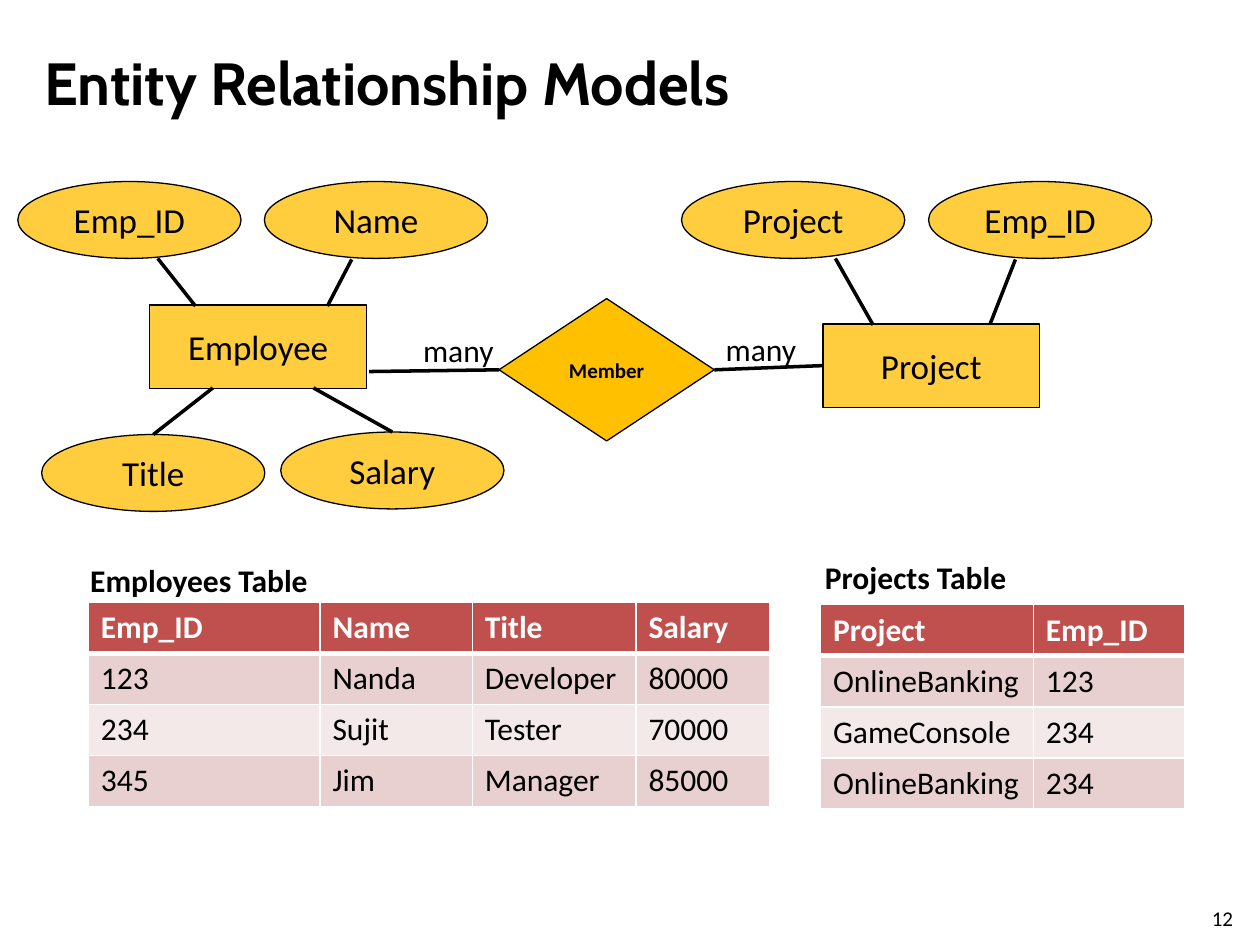
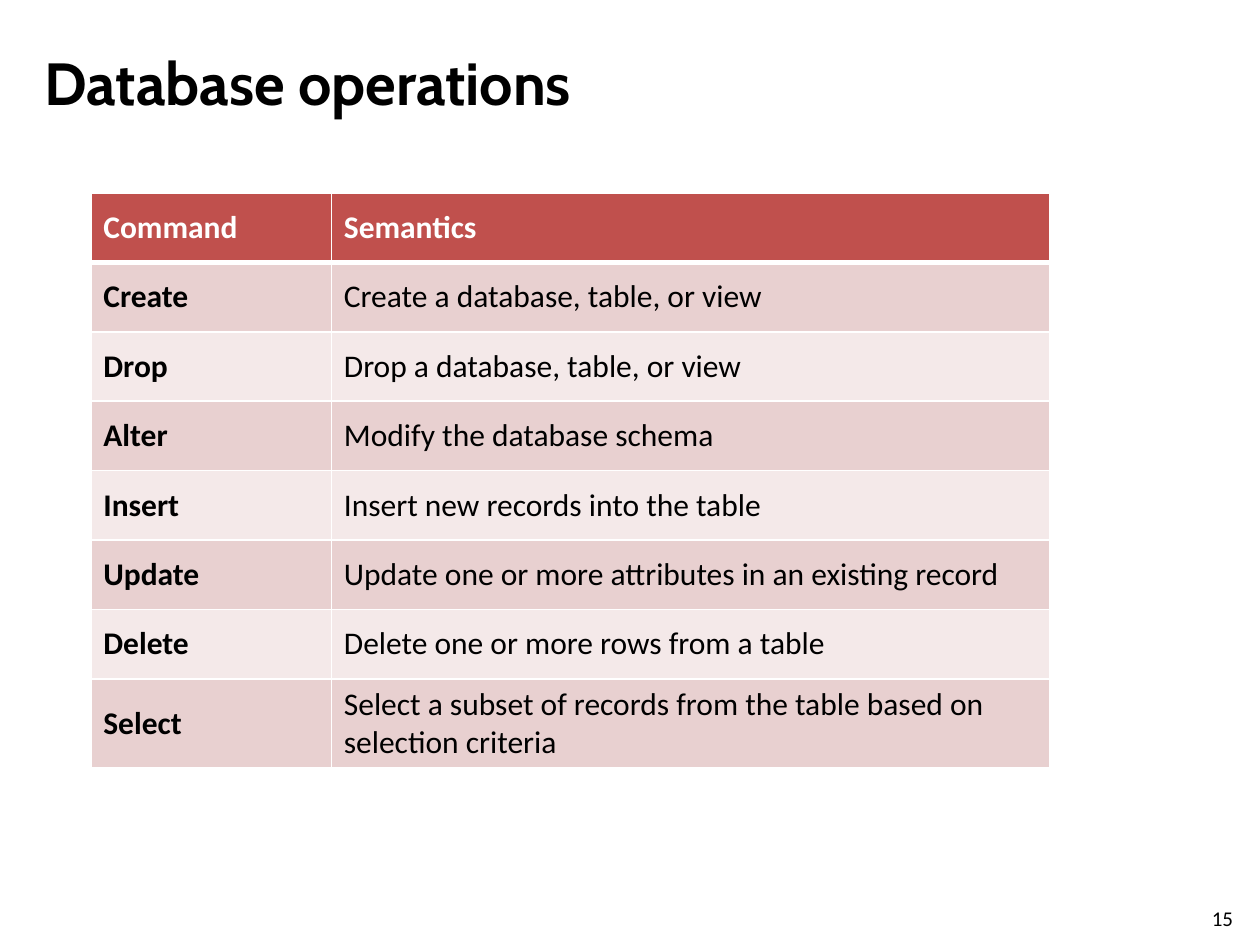
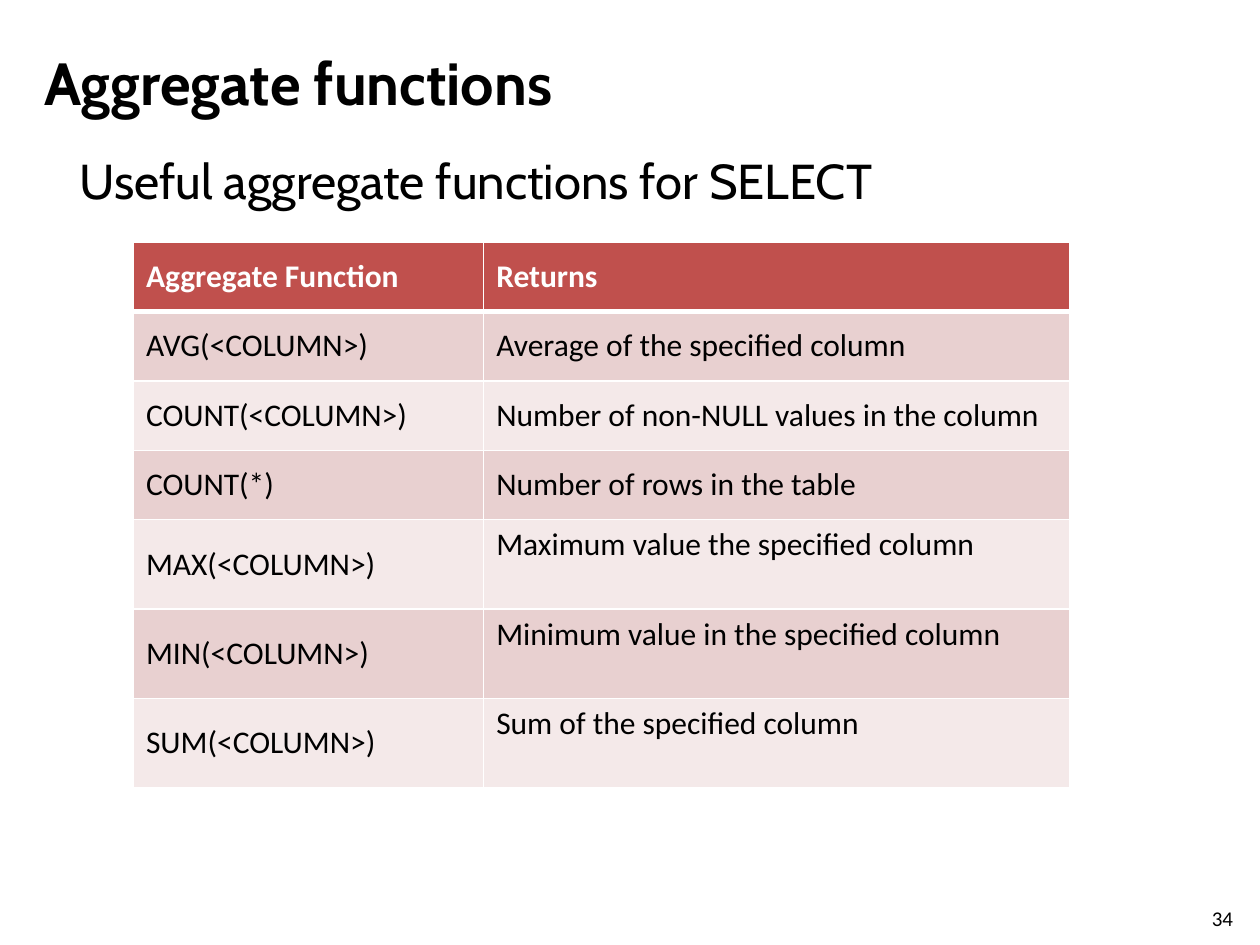
from dataclasses import dataclass

from lxml import etree
from pptx import Presentation
from pptx.dml.color import RGBColor
from pptx.enum.shapes import MSO_CONNECTOR, MSO_SHAPE
from pptx.enum.text import MSO_ANCHOR, MSO_AUTO_SIZE, PP_ALIGN
from pptx.oxml.ns import qn
from pptx.util import Cm, Pt

ELLIPSE = MSO_SHAPE.OVAL
RECTANGLE = MSO_SHAPE.RECTANGLE
DIAMOND = MSO_SHAPE.FLOWCHART_DECISION
STRAIGHT = MSO_CONNECTOR.STRAIGHT
TOP, MIDDLE = MSO_ANCHOR.TOP, MSO_ANCHOR.MIDDLE
LEFT, CENTER = PP_ALIGN.LEFT, PP_ALIGN.CENTER
NO_AUTOFIT = MSO_AUTO_SIZE.NONE

# Shared style
HEADING_FONT, BODY_FONT = "Cabin", "Calibri"
BLACK, WHITE = "000000", "FFFFFF"
YELLOW, AMBER = "FFCD3E", "FFC000"
HEADER_RED, BANDS = "C0504D", ("E8D0D0", "F4E9E9")
TITLE_ONLY = 5

# Sides of a shape where a connector can be joined
SIDE_TOP, SIDE_LEFT, SIDE_RIGHT = 0, 1, 3


@dataclass
class Node:
    key: str
    text: str
    left: float
    top: float
    width: float = 4.5
    height: float = 1.55
    shape: int = ELLIPSE
    fill: str = YELLOW
    size: int = 20
    bold: bool = False


@dataclass
class Joint:
    x: float
    y: float
    node: str = ""
    side: int = 0


@dataclass
class Label:
    text: str
    left: float
    top: float
    width: float
    height: float = 1.02
    size: int = 18
    bold: bool = False
    font: str = BODY_FONT


@dataclass
class Grid:
    left: float
    top: float
    columns: list[float]
    heights: list[float]
    rows: list[tuple[str, ...]]
    anchor: int = MIDDLE
    bold_first_column: bool = False
    top_aligned: tuple[tuple[int, int], ...] = ()


# Entity relationship diagram
NODES = [
    Node("employee id", "Emp_ID", 0.36, 3.66),
    Node("name", "Name", 5.33, 3.66),
    Node("project name", "Project", 13.74, 3.66),
    Node("member id", "Emp_ID", 18.72, 3.66),
    Node("title", "Title", 0.84, 8.76),
    Node("salary", "Salary", 5.66, 8.71),
    Node("employee", "Employee", 3.02, 6.15, 4.37, 1.68, RECTANGLE),
    Node("project", "Project", 16.59, 6.53, 4.37, 1.68, RECTANGLE),
    Node("member", "Member", 10.06, 6.02, 4.34, 2.87, DIAMOND, AMBER, 12, True),
]
LINKS = [
    (Joint(3.94, 6.17), Joint(3.18, 5.21)),
    (Joint(6.6, 6.17), Joint(7.09, 5.23)),
    (Joint(17.6, 6.55), Joint(16.84, 5.21)),
    (Joint(19.96, 6.53), Joint(20.47, 5.23)),
    (Joint(3.09, 8.76, "title", SIDE_TOP), Joint(4.29, 7.82)),
    (Joint(7.91, 8.71, "salary", SIDE_TOP), Joint(6.32, 7.82)),
    (Joint(7.44, 7.49), Joint(10.06, 7.46, "member", SIDE_LEFT)),
    (Joint(16.59, 7.37, "project", SIDE_LEFT),
     Joint(14.4, 7.46, "member", SIDE_RIGHT)),
]
DIAGRAM_LABELS = [
    Label("many", 14.38, 6.53, 2.16),
    Label("many", 8.28, 6.55, 2.29),
    Label("Employees Table", 1.57, 11.18, 8.69, bold=True),
    Label("Projects Table", 16.38, 11.13, 8.69, bold=True),
]

# Tables
EMPLOYEES = Grid(1.78, 12.14, [4.67, 3.07, 3.3, 2.69], [1.03] * 4, [
    ("Emp_ID", "Name", "Title", "Salary"),
    ("123", "Nanda", "Developer", "80000"),
    ("234", "Sujit", "Tester", "70000"),
    ("345", "Jim", "Manager", "85000"),
], anchor=TOP)
PROJECTS = Grid(16.54, 12.19, [4.29, 3.05], [1.03] * 4, [
    ("Project", "Emp_ID"),
    ("OnlineBanking", "123"),
    ("GameConsole", "234"),
    ("OnlineBanking", "234"),
], anchor=TOP)
COMMANDS = Grid(1.83, 3.89, [4.85, 14.48], [1.4] * 7 + [1.8], [
    ("Command", "Semantics"),
    ("Create", "Create a database, table, or view"),
    ("Drop", "Drop a database, table, or view"),
    ("Alter", "Modify the database schema"),
    ("Insert", "Insert new records into the table"),
    ("Update", "Update one or more attributes in an existing record"),
    ("Delete", "Delete one or more rows from a table"),
    ("Select", "Select a subset of records from the table based on "
               "selection criteria"),
], bold_first_column=True)
AGGREGATES = Grid(2.69, 4.88, [7.06, 11.81], [1.4] * 4 + [1.8] * 3, [
    ("Aggregate Function", "Returns"),
    ("AVG(<COLUMN>)", "Average of the specified column"),
    ("COUNT(<COLUMN>)", "Number of non-NULL values in the column"),
    ("COUNT(*)", "Number of rows in the table"),
    ("MAX(<COLUMN>)", "Maximum value the specified column"),
    ("MIN(<COLUMN>)", "Minimum value in the specified column"),
    ("SUM(<COLUMN>)", "Sum of the specified column"),
], top_aligned=((4, 1), (5, 1), (6, 1)))


def color(value: str) -> RGBColor:
    return RGBColor.from_string(value)


def write(frame, text: str, size: int, bold: bool = False, ink: str = BLACK,
          font: str = BODY_FONT, align: int = LEFT) -> None:
    frame.text = text
    paragraph = frame.paragraphs[0]
    paragraph.alignment = align
    for span in paragraph.runs:
        span.font.name = font
        span.font.size = Pt(size)
        span.font.bold = bold
        span.font.color.rgb = color(ink)


def add_label(page, label: Label) -> None:
    box = page.shapes.add_textbox(Cm(label.left), Cm(label.top),
                                  Cm(label.width), Cm(label.height))
    box.text_frame.word_wrap = True
    write(box.text_frame, label.text, label.size, label.bold, font=label.font)


def add_page(deck, title: str, number: int):
    page = deck.slides.add_slide(deck.slide_layouts[TITLE_ONLY])
    heading = page.shapes.title
    heading.left, heading.top = Cm(0.64), Cm(0.76)
    heading.width, heading.height = Cm(22.02), Cm(1.78)
    frame = heading.text_frame
    frame.word_wrap = True
    frame.auto_size = NO_AUTOFIT
    frame.vertical_anchor = MIDDLE
    write(frame, title, 34, True, font=HEADING_FONT)
    add_label(page, Label(str(number), 24.18, 18.14, 1.02, 0.61, size=12))
    return page


def add_node(page, node: Node):
    shape = page.shapes.add_shape(node.shape, Cm(node.left), Cm(node.top),
                                  Cm(node.width), Cm(node.height))
    shape.shadow.inherit = False
    shape.fill.solid()
    shape.fill.fore_color.rgb = color(node.fill)
    shape.line.color.rgb = color(BLACK)
    shape.line.width = Pt(0.75)
    shape.text_frame.vertical_anchor = MIDDLE
    write(shape.text_frame, node.text, node.size, node.bold, align=CENTER)
    return shape


def add_link(page, start: Joint, end: Joint, shapes: dict) -> None:
    line = page.shapes.add_connector(STRAIGHT, Cm(start.x), Cm(start.y),
                                     Cm(end.x), Cm(end.y))
    if start.node:
        line.begin_connect(shapes[start.node], start.side)
    if end.node:
        line.end_connect(shapes[end.node], end.side)
    line.line.color.rgb = color(BLACK)
    line.line.width = Pt(2)
    etree.SubElement(line._element.spPr, qn("a:effectLst"))


def add_borders(cell, row: int) -> None:
    """White rules, with a thick one between the header and the body."""
    widths = {"L": 1, "R": 1, "T": 3 if row == 1 else 1, "B": 3 if row == 0 else 1}
    properties = cell._tc.get_or_add_tcPr()
    for side, width in widths.items():
        border = etree.SubElement(properties, qn(f"a:ln{side}"), w=str(Pt(width)))
        fill = etree.SubElement(border, qn("a:solidFill"))
        etree.SubElement(fill, qn("a:srgbClr"), val=WHITE)


def add_grid(page, grid: Grid) -> None:
    table = page.shapes.add_table(
        len(grid.rows), len(grid.columns), Cm(grid.left), Cm(grid.top),
        Cm(sum(grid.columns)), Cm(sum(grid.heights))).table
    for column, width in zip(table.columns, grid.columns):
        column.width = Cm(width)
    for row, height in zip(table.rows, grid.heights):
        row.height = Cm(height)
    for r, texts in enumerate(grid.rows):
        is_header = r == 0
        for c, text in enumerate(texts):
            cell = table.cell(r, c)
            add_borders(cell, r)
            cell.fill.solid()
            cell.fill.fore_color.rgb = color(
                HEADER_RED if is_header else BANDS[(r - 1) % 2])
            cell.vertical_anchor = TOP if (r, c) in grid.top_aligned else grid.anchor
            write(cell.text_frame, text, 18,
                  bold=is_header or (grid.bold_first_column and c == 0),
                  ink=WHITE if is_header else BLACK)


def main() -> None:
    deck = Presentation()
    deck.slide_width, deck.slide_height = Cm(25.4), Cm(19.05)

    # Entity relationship diagram and its tables
    page = add_page(deck, "Entity Relationship Models", 12)
    shapes = {node.key: add_node(page, node) for node in NODES}
    for start, end in LINKS:
        add_link(page, start, end, shapes)
    for label in DIAGRAM_LABELS:
        add_label(page, label)
    add_grid(page, EMPLOYEES)
    add_grid(page, PROJECTS)

    # Commands
    page = add_page(deck, "Database operations", 15)
    add_grid(page, COMMANDS)

    # Aggregate functions
    page = add_page(deck, "Aggregate functions", 34)
    add_label(page, Label("Useful aggregate functions for SELECT", 1.35, 2.9,
                          23.52, 1.5, size=28, font=HEADING_FONT))
    add_grid(page, AGGREGATES)

    deck.save("out.pptx")


if __name__ == "__main__":
    main()
